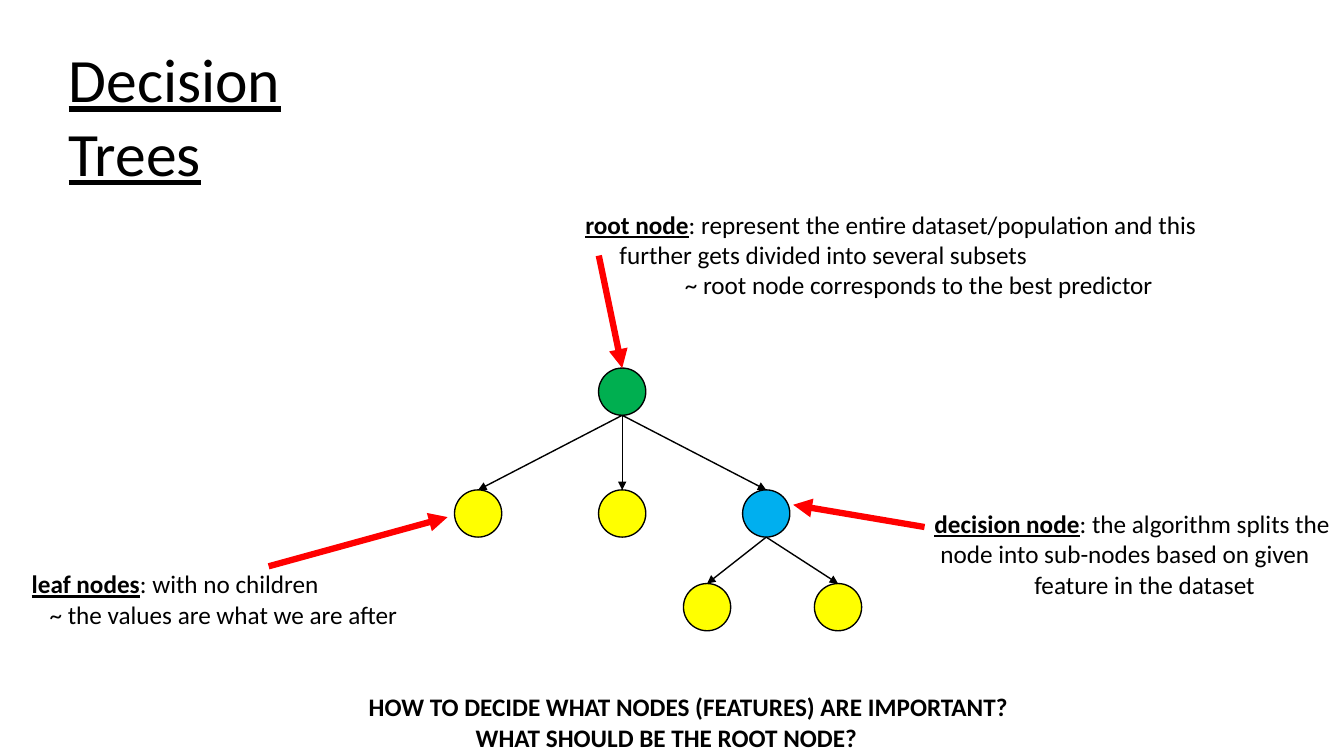
"""Build a slide that labels the root, decision and leaf nodes of a decision tree."""
from dataclasses import dataclass

from lxml.etree import SubElement
from pptx import Presentation
from pptx.dml.color import RGBColor
from pptx.enum.shapes import MSO_CONNECTOR, MSO_SHAPE
from pptx.enum.text import MSO_ANCHOR, MSO_AUTO_SIZE, PP_ALIGN
from pptx.oxml.ns import qn
from pptx.util import Cm, Pt

BLACK = RGBColor(0x00, 0x00, 0x00)
GREEN = RGBColor(0x00, 0xAF, 0x50)
YELLOW = RGBColor(0xFF, 0xFF, 0x00)
BLUE = RGBColor(0x00, 0xAF, 0xEF)
RED = RGBColor(0xFF, 0x00, 0x00)
FONT = "Calibri"
DIAMETER = 1.19
RADIUS = DIAMETER / 2
ROOT_X, BRANCH = 15.68, 3.63
ROOT_Y, MIDDLE_Y, BOTTOM_Y = 9.87, 12.94, 15.3


@dataclass(frozen=True)
class Node:
    name: str
    x: float
    y: float
    color: RGBColor
    parent: str = ""


@dataclass(frozen=True)
class Line:
    text: str
    term: str = ""
    left: float = 0
    first: float = 0
    right: float = 0


@dataclass(frozen=True)
class Note:
    x: float
    y: float
    width: float
    height: float
    lines: tuple[Line, ...]
    bold: bool = False
    align: PP_ALIGN = PP_ALIGN.LEFT


@dataclass(frozen=True)
class Pointer:
    start: tuple[float, float]
    end: tuple[float, float]
    target: str = ""


NODES = (
    Node("root", ROOT_X, ROOT_Y, GREEN),
    Node("left leaf", ROOT_X - BRANCH, MIDDLE_Y, YELLOW, "root"),
    Node("middle leaf", ROOT_X, MIDDLE_Y, YELLOW, "root"),
    Node("decision", ROOT_X + BRANCH, MIDDLE_Y, BLUE, "root"),
    Node("lower left leaf", 17.82, BOTTOM_Y, YELLOW, "decision"),
    Node("lower right leaf", 21.12, BOTTOM_Y, YELLOW, "decision"),
)

NOTES = (
    Note(14.71, 5.21, 15.55, 2.36, (
        Line(": represent the entire dataset/population and this further gets "
             "divided into several subsets", "root node", 0.9, -0.86),
        Line("~ root node corresponds to the best predictor", left=2.55),
    )),
    Note(0.77, 14.27, 9.3, 1.6, (
        Line(": with no children", "leaf nodes", 0.03),
        Line("~ the values are what we are after", left=0.48),
    )),
    Note(23.52, 12.75, 10.1, 2.36, (
        Line(": the algorithm splits the node into sub-nodes based on given",
             "decision node", 0.18, -0.15),
        Line("feature in the dataset", left=2.55),
    )),
    Note(9.27, 17.37, 16.15, 1.6, (
        Line("HOW TO DECIDE WHAT NODES (FEATURES) ARE IMPORTANT?"),
        Line("WHAT SHOULD BE THE ROOT NODE?", right=1.1),
    ), True, PP_ALIGN.CENTER),
)

POINTERS = (
    Pointer((6.77, 14.27), (11.28, 13.03)),
    Pointer((15.09, 6.44), (ROOT_X, ROOT_Y - RADIUS), "root"),
    Pointer((23.3, 13.28), (19.99, 12.72)),
)


def add_text(p, text: str, *, size: float = 18, bold: bool = False,
             underline: bool = False) -> None:
    r = p.add_run()
    r.text = text
    r.font.name = FONT
    r.font.size = Pt(size)
    r.font.bold = bold
    r.font.underline = underline
    r.font.color.rgb = BLACK


def prepare_frame(tf) -> None:
    tf.word_wrap = True
    tf.auto_size = MSO_AUTO_SIZE.NONE
    tf.vertical_anchor = MSO_ANCHOR.TOP
    tf.margin_left = tf.margin_right = tf.margin_bottom = 0
    tf.margin_top = Cm(0.06)


def add_title(slide) -> None:
    sp = slide.shapes.title
    sp.left, sp.top, sp.width, sp.height = Cm(1.73), Cm(0.97), Cm(8.8), Cm(1.93)
    prepare_frame(sp.text_frame)
    p = sp.text_frame.paragraphs[0]
    p.alignment = PP_ALIGN.LEFT
    add_text(p, "Decision Trees", size=44, underline=True)


def add_note(slide, note: Note) -> None:
    sp = slide.shapes.add_textbox(
        Cm(note.x), Cm(note.y), Cm(note.width), Cm(note.height))
    tf = sp.text_frame
    prepare_frame(tf)
    for i, line in enumerate(note.lines):
        p = tf.add_paragraph() if i else tf.paragraphs[0]
        p.alignment = note.align
        pPr = p._p.get_or_add_pPr()
        for key, value in (("marL", line.left), ("marR", line.right),
                           ("indent", line.first)):
            pPr.set(key, str(Cm(value)))
        if line.term:
            add_text(p, line.term, bold=True, underline=True)
        add_text(p, line.text, bold=note.bold)


def add_node(slide, node: Node):
    sp = slide.shapes.add_shape(
        MSO_SHAPE.OVAL, Cm(node.x - RADIUS), Cm(node.y - RADIUS),
        Cm(DIAMETER), Cm(DIAMETER))
    sp.shadow.inherit = False
    sp.fill.solid()
    sp.fill.fore_color.rgb = node.color
    sp.line.color.rgb = BLACK
    sp.line.width = Pt(0.96)
    return sp


def add_arrow(slide, start: tuple[float, float], end: tuple[float, float],
              color: RGBColor, width: float, target=None) -> None:
    cxn = slide.shapes.add_connector(
        MSO_CONNECTOR.STRAIGHT, *(Cm(v) for v in (*start, *end)))
    if target is not None:
        cxn.end_connect(target, 0)
    cxn.line.color.rgb = color
    cxn.line.width = Pt(width)
    SubElement(cxn.line._get_or_add_ln(), qn("a:tailEnd"), type="triangle")
    SubElement(cxn._element.spPr, qn("a:effectLst"))


def main() -> None:
    prs = Presentation()
    prs.slide_width, prs.slide_height = Cm(33.87), Cm(19.05)
    slide = prs.slides.add_slide(prs.slide_layouts[5])
    add_title(slide)
    circles = {node.name: add_node(slide, node) for node in NODES}
    places = {node.name: node for node in NODES}
    for node in NODES:
        if node.parent:
            parent = places[node.parent]
            add_arrow(slide, (parent.x, parent.y + RADIUS),
                      (node.x, node.y - RADIUS), BLACK, 1, circles[node.name])
    for note in NOTES:
        add_note(slide, note)
    for pointer in POINTERS:
        add_arrow(slide, pointer.start, pointer.end, RED, 4.5,
                  circles.get(pointer.target))
    prs.save("out.pptx")


if __name__ == "__main__":
    main()
